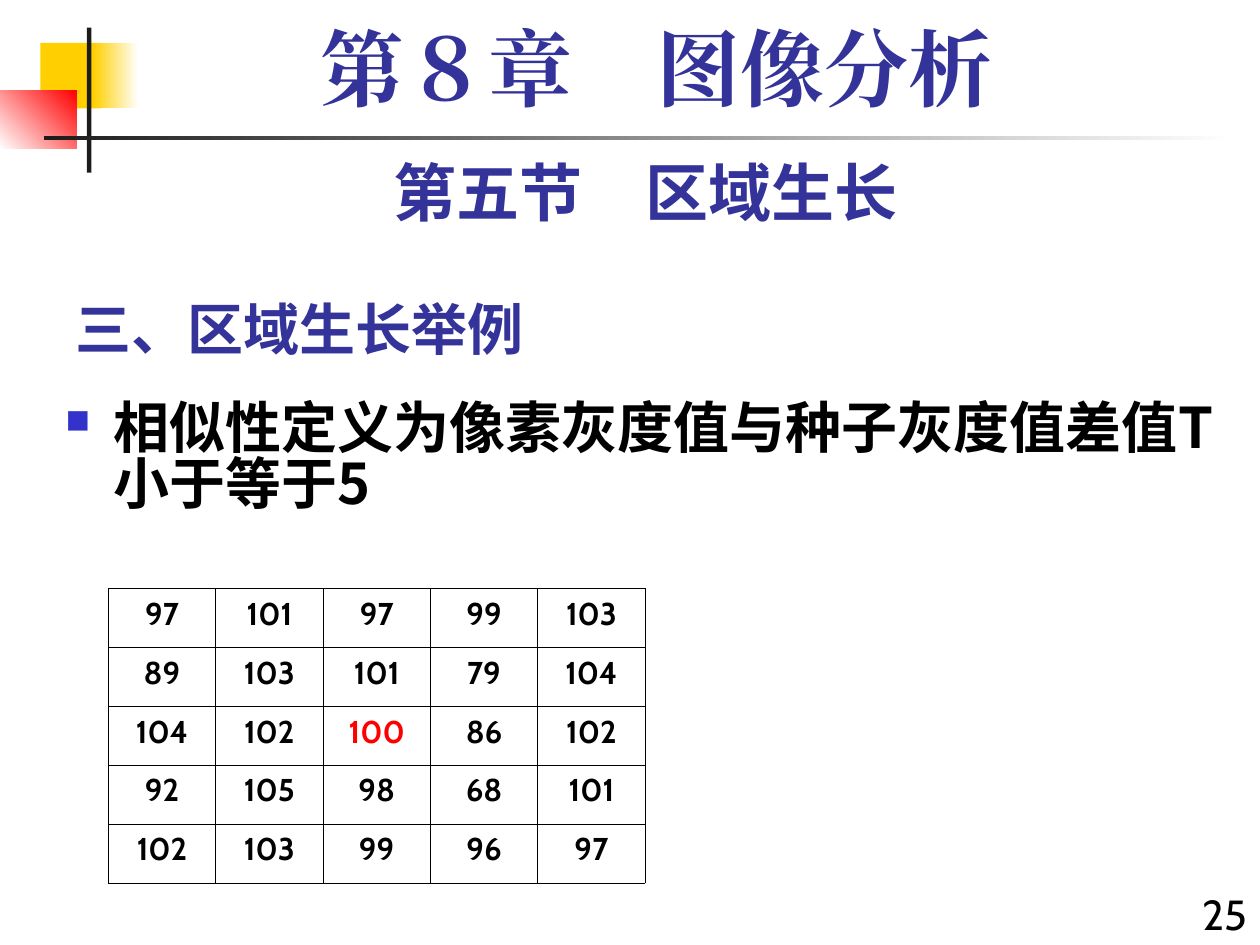
from lxml import etree
from pptx import Presentation
from pptx.dml.color import RGBColor
from pptx.enum.shapes import MSO_SHAPE
from pptx.enum.text import MSO_ANCHOR as ANCHOR, PP_ALIGN as ALIGN
from pptx.oxml import parse_xml
from pptx.oxml.ns import nsdecls, qn
from pptx.util import Inches, Pt

rgb = RGBColor.from_string
NAVY, DARK, GOLD, RED, WHITE, BLACK = "333399", "1C1C1C", "FFCF01", "FF0000", "FFFFFF", "000000"
CJK = "Noto Sans CJK SC"

prs = Presentation()
prs.slide_width, prs.slide_height = Inches(10), Inches(7.5)
s = prs.slides.add_slide(prs.slide_layouts[6])
# Grid of 100 columns by 75 rows
COL, ROW = prs.slide_width / 100, prs.slide_height / 75


def box(x, y, w, h):
    return round(x * COL), round(y * ROW), round(w * COL), round(h * ROW)


def write(p, text, size, font, color, bold=True, align=ALIGN.LEFT):
    p.text, p.alignment = text, align
    f = p.runs[0].font
    f.size, f.name, f.bold = Pt(size), font, bold
    f.color.rgb = rgb(color)
    etree.SubElement(p.runs[0]._r.get_or_add_rPr(), qn("a:ea")).set("typeface", font)


# Corner ornament: place, colours, gradient angle
ornament = [
    ((3.2, 3.4, 4.8, 5.2), [GOLD], 0),
    ((7.4, 3.4, 3.6, 5.2), [GOLD, WHITE], 0),
    ((0, 7.2, 6.1, 4.6), [WHITE, RED], 45),
    ((6.9, 2.2, 0.35, 11.5), [DARK], 0),
    ((3.5, 10.8, 94.5, 0.35), [DARK, WHITE], 0),
]
for place, colors, angle in ornament:
    sp = s.shapes.add_shape(MSO_SHAPE.RECTANGLE, *box(*place))
    sp.shadow.inherit = False
    sp.line.fill.background()
    if len(colors) == 1:
        sp.fill.solid()
        sp.fill.fore_color.rgb = rgb(colors[0])
    else:
        sp.fill.gradient()
        sp.fill.gradient_angle = angle
        for stop, color in zip(sp.fill.gradient_stops, colors):
            stop.color.rgb = rgb(color)

# Texts: place, wording, size, font, colour, bold, alignment, anchor, line spacing, bullet
texts = [
    ((5, 21.7, 61.5, 7.5), "三、区域生长举例", 32, CJK, NAVY, True, ALIGN.LEFT, ANCHOR.BOTTOM, 1, False),
    ((93.3, 70, 6.7, 5.9), "25", 24, "Cabin", BLACK, False, ALIGN.RIGHT, ANCHOR.TOP, 1, False),
    ((5, 11.7, 92.5, 7), "第五节\u3000区域生长".replace("\u3000", "　"), 36, "Cabin", NAVY, True,
     ALIGN.CENTER, ANCHOR.TOP, 1, False),
    ((4.2, 31.5, 95.8, 43.5), "相似性定义为像素灰度值与种子灰度值差值T小于等于5", 32, CJK, BLACK, True,
     ALIGN.LEFT, ANCHOR.TOP, 0.84, True),
    ((6.7, 1.7, 90.8, 8.3), "第８章　图像分析", 48, "Times New Roman", NAVY, True,
     ALIGN.CENTER, ANCHOR.TOP, 0.9, False),
]
for place, text, size, font, color, bold, align, anchor, spacing, bullet in texts:
    tf = s.shapes.add_textbox(*box(*place)).text_frame
    tf.word_wrap, tf.vertical_anchor = True, anchor
    p = tf.paragraphs[0]
    write(p, text, size, font, color, bold, align)
    p.line_spacing = spacing
    if bullet:
        pPr = p._p.get_or_add_pPr()
        pPr.set("marL", str(Inches(0.38)))
        pPr.set("indent", str(-Inches(0.38)))
        clr = etree.SubElement(pPr, qn("a:buClr"))
        etree.SubElement(clr, qn("a:srgbClr")).set("val", "3333CC")
        etree.SubElement(pPr, qn("a:buSzPct")).set("val", "60000")
        etree.SubElement(pPr, qn("a:buChar")).set("char", "■")

# Grey values, with the seed in the middle
values = [
    [97, 101, 97, 99, 103],
    [89, 103, 101, 79, 104],
    [104, 102, 100, 86, 102],
    [92, 105, 98, 68, 101],
    [102, 103, 99, 96, 97],
]
table = s.shapes.add_table(5, 5, *box(8.6, 46.7, 42.6, 23.4)).table
table.first_row = table.horz_banding = False
for i, row in enumerate(values):
    for j, value in enumerate(row):
        cell = table.cell(i, j)
        cell.margin_left = cell.margin_right = Inches(0.08)
        seed = i == j == 2
        write(cell.text_frame.paragraphs[0], str(value), 18, "Cabin", RED if seed else BLACK,
              align=ALIGN.CENTER)
        cell.fill.background()
        for k, side in enumerate("LRTB"):
            cell._tc.get_or_add_tcPr().insert(k, parse_xml(
                f'<a:ln{side} {nsdecls("a")} w="{Pt(0.45)}"><a:solidFill>'
                f'<a:srgbClr val="{BLACK}"/></a:solidFill></a:ln{side}>'))

prs.save("out.pptx")
